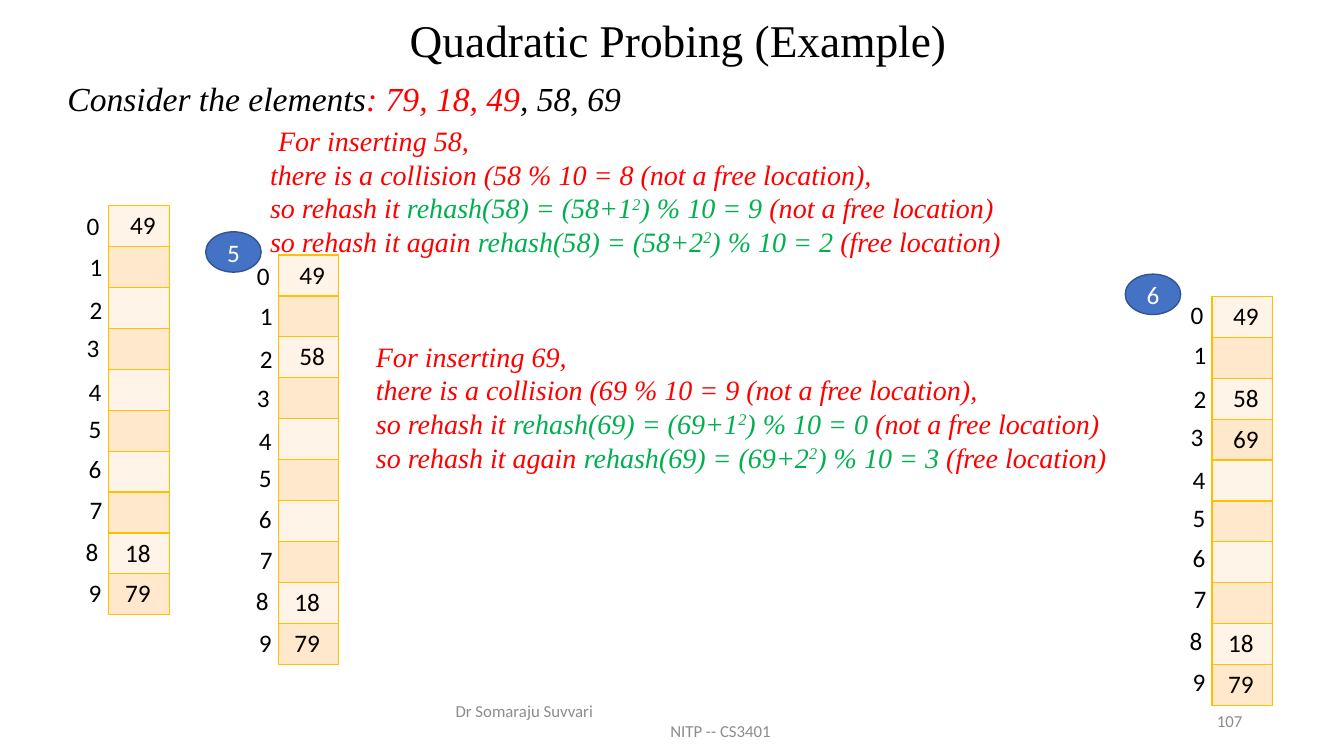
from dataclasses import dataclass

from lxml import etree
from pptx import Presentation
from pptx import util as u
from pptx.dml.color import RGBColor
from pptx.enum import shapes, text
from pptx.oxml import ns

HUES = {
    "black": "000000", "white": "FFFFFF", "red": "FF0000", "green": "00B050",
    "grey": "8C8C8C", "blue": "4472C4", "navy": "325491", "gold": "FFC000",
    "pale": "FFF4E7", "peach": "FFE8CC",
}
SERIF, SANS = "Times New Roman", "Calibri"
LEFT, MID, RIGHT, JUST = (text.PP_ALIGN.LEFT, text.PP_ALIGN.CENTER,
                          text.PP_ALIGN.RIGHT, text.PP_ALIGN.JUSTIFY)
CELL = 0.406


@dataclass
class Run:
    words: str
    hue: str = "black"
    sup: bool = False


@dataclass
class Para:
    runs: list[Run]
    indent: float = 0
    before: float = 0
    size: float = 20


@dataclass
class Bucket:
    """One hash table: its place, the place of its labels and its keys."""
    left: float
    top: float
    label: tuple[float, float]
    keys: dict[int, str]


@dataclass
class Step:
    num: str
    left: float
    top: float


def color(name: str) -> RGBColor:
    return RGBColor.from_string(HUES[name])


def write(frame, paras: list[Para], *, font: str = SANS, italic: bool = False,
          align=LEFT, anchor=text.MSO_ANCHOR.TOP, space=None) -> None:
    """Fill a text frame with formatted paragraphs."""
    frame.word_wrap = True
    frame.vertical_anchor = anchor
    for i, item in enumerate(paras):
        para = frame.paragraphs[0] if i == 0 else frame.add_paragraph()
        para.alignment = align
        if item.indent:
            para._p.get_or_add_pPr().set("marL", str(u.Inches(item.indent)))
        if item.before:
            para.space_before = u.Pt(item.before)
        if space and i:
            para.line_spacing = space
        for part in item.runs:
            run = para.add_run()
            run.text = part.words
            run.font.name, run.font.size = font, u.Pt(item.size)
            run.font.italic = italic
            run.font.color.rgb = color(part.hue)
            if part.sup:
                run._r.get_or_add_rPr().set("baseline", "30000")


def box(host, left: float, top: float, wide: float, high: float):
    spot = map(u.Inches, (left, top, wide, high))
    return host.add_textbox(*spot).text_frame


def edge(cell) -> None:
    """Draw the four gold borders of a cell."""
    props = cell._tc.get_or_add_tcPr()
    for i, tag in enumerate(("a:lnL", "a:lnR", "a:lnT", "a:lnB")):
        line = etree.Element(ns.qn(tag), w=str(u.Pt(1)))
        fill = etree.SubElement(line, ns.qn("a:solidFill"))
        etree.SubElement(fill, ns.qn("a:srgbClr"), val=HUES["gold"])
        props.insert(i, line)


def draw_table(host, item: Bucket) -> None:
    spot = map(u.Inches, (item.left, item.top, 0.6, 10 * CELL))
    grid = host.add_table(10, 1, *spot).table
    grid.first_row = grid.horz_banding = False
    for i in range(10):
        grid.rows[i].height = u.Inches(CELL)
        cell = grid.cell(i, 0)
        cell.fill.solid()
        cell.fill.fore_color.rgb = color("peach" if i % 2 else "pale")
        edge(cell)
        cell.margin_left = u.Inches(0.16 if i > 7 else 0.21)
        if i in item.keys:
            write(cell.text_frame, [Para([Run(item.keys[i])], size=18)])


def draw_labels(host, item: Bucket) -> None:
    group = host.add_group_shape().shapes
    left, top = item.label
    for i, (dx, dy) in enumerate(SHIFTS):
        frame = box(group, left + dx, top + dy, 0.41, 0.4)
        write(frame, [Para([Run(str(i))], size=18)])


def draw_step(host, item: Step) -> None:
    spot = map(u.Inches, (item.left, item.top, 0.55, 0.4))
    oval = host.add_shape(shapes.MSO_SHAPE.OVAL, *spot)
    oval.shadow.inherit = False
    oval.fill.solid()
    oval.fill.fore_color.rgb = color("blue")
    oval.line.color.rgb = color("navy")
    oval.line.width = u.Pt(1)
    write(oval.text_frame, [Para([Run(item.num, "white")], size=18)],
          align=MID, anchor=text.MSO_ANCHOR.MIDDLE)


def probe(key: int, spots: tuple[int, int, int], indent: float,
          first: float, before: float) -> list[Para]:
    """Four lines that tell how a key finds its place."""
    hit, one, two = spots
    paras = [
        Para([Run(f"For inserting {key},", "red")], first, before),
        Para([Run(f"there is a collision ({key} % 10 = {hit} "
                  "(not a free location),", "red")], indent),
    ]
    tries = (("", 1, one, "not a free"), ("again ", 2, two, "free"))
    for again, step, spot, state in tries:
        paras.append(Para([
            Run(f"so rehash it {again}", "red"),
            Run(f"rehash({key}) = ({key}+{step}", "green"),
            Run("2", "green", True),
            Run(f") % 10 = {spot} ", "green"),
            Run(f"({state} location)", "red"),
        ], indent))
    return paras


# Offsets of the index labels from the first one
SHIFTS = [(0, 0), (0.03, 0.4), (0.03, 0.83), (0, 1.21), (0.02, 1.64),
          (0.02, 2.01), (0.02, 2.41), (0.03, 2.82), (-0.01, 3.23), (0.02, 3.64)]
BASE = {0: "49", 8: "18", 9: "79"}
BUCKETS = [
    Bucket(1.08, 2.04, (0.76, 2.04), BASE),
    Bucket(2.76, 2.53, (2.45, 2.53), BASE | {2: "58"}),
    Bucket(12.02, 2.94, (11.71, 2.92), BASE | {2: "58", 3: "69"}),
]
STEPS = [Step("5", 2.04, 2.3), Step("6", 11.16, 2.72)]


def main() -> None:
    deck = Presentation()
    deck.slide_width, deck.slide_height = u.Inches(13.33), u.Inches(7.5)
    host = deck.slides.add_slide(deck.slide_layouts[6]).shapes

    # Title
    title = box(host, 0.92, 0.1, 11.5, 0.59)
    title.margin_left = u.Inches(0.21)
    write(title, [Para([Run("Quadratic Probing (Example)")], size=32.4),],
          font=SERIF, align=MID, anchor=text.MSO_ANCHOR.MIDDLE, space=0.9)

    # Explanation
    body = box(host, 0.57, 0.69, 12.44, 6.26)
    body.margin_top = u.Inches(0.08)
    intro = Para([Run("Consider the elements"), Run(": 79, 18, 49", "red"),
                  Run(", 58, 69")], size=24)
    write(body, [intro, *probe(58, (8, 9, 2), 2.01, 2.09, 4),
                 *probe(69, (9, 0, 3), 3.06, 3.06, 58)],
          font=SERIF, italic=True, align=JUST, space=u.Pt(24))

    # Footer and slide number
    write(box(host, 4.42, 6.95, 4.5, 0.4),
          [Para([Run("Dr Somaraju Suvvari", "grey")], size=12),
           Para([Run("NITP -- CS3401", "grey")], 2.13, size=12)],
          anchor=text.MSO_ANCHOR.MIDDLE)
    write(box(host, 9.42, 6.95, 3, 0.4), [Para([Run("107", "grey")], size=12)],
          align=RIGHT, anchor=text.MSO_ANCHOR.MIDDLE)

    # Hash tables with their labels and step marks
    for item in BUCKETS:
        draw_table(host, item)
        draw_labels(host, item)
    for step in STEPS:
        draw_step(host, step)

    deck.save("out.pptx")


if __name__ == "__main__":
    main()
